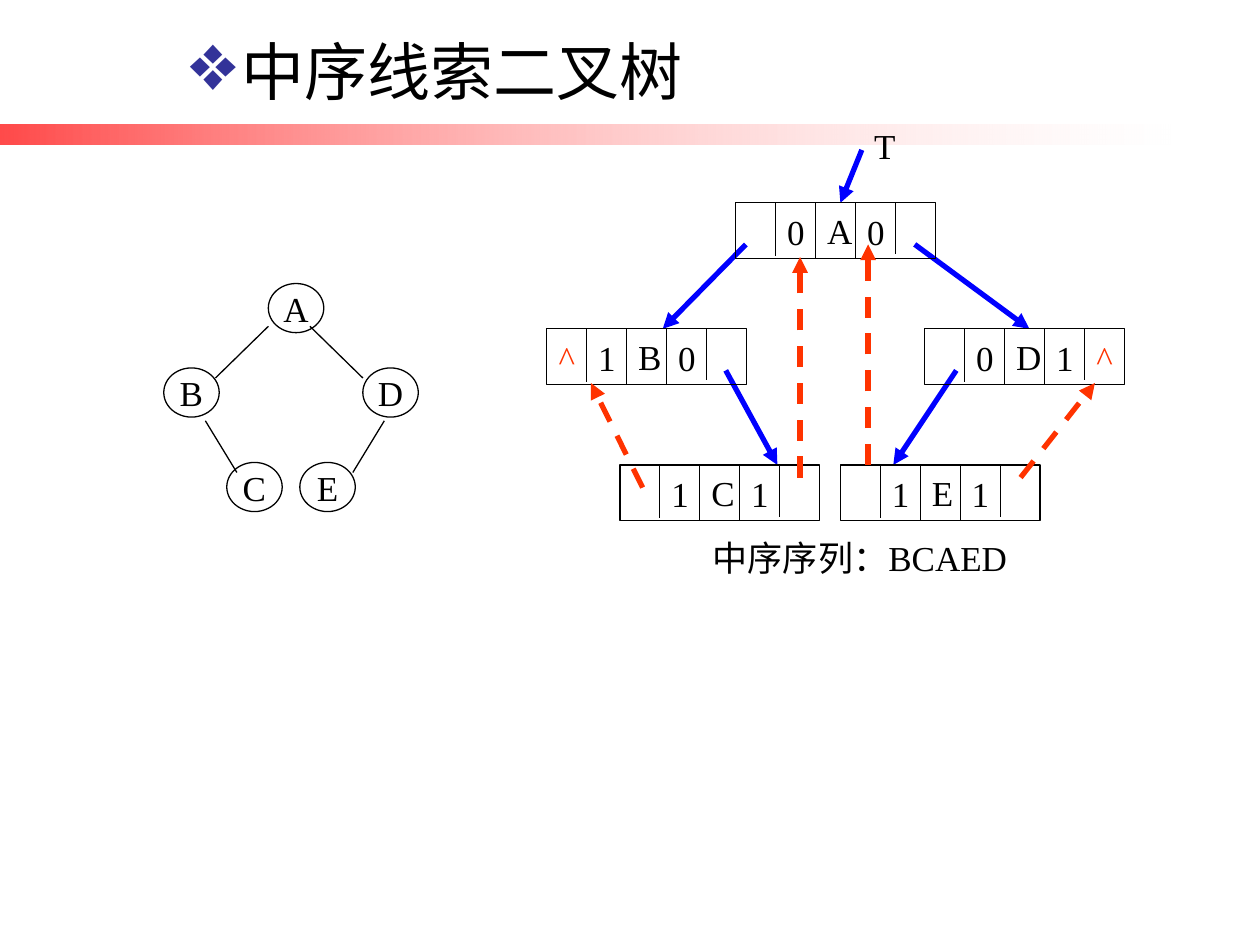
import pptx
import pptx.dml.color
import pptx.enum.dml
import pptx.enum.shapes
import pptx.enum.text
import pptx.oxml
import pptx.oxml.ns
import pptx.util

HUE = {"ink": "000000", "link": "0000FF", "thread": "FF3300",
       "mark": "333399", "bar": "FF0000", "fade": "FFFFFF"}
SHAPE = pptx.enum.shapes.MSO_SHAPE
ALIGN = pptx.enum.text.PP_ALIGN
ANCHOR = pptx.enum.text.MSO_ANCHOR
NS = pptx.oxml.ns.nsdecls("a")

deck = pptx.Presentation()
deck.slide_width = pptx.util.Inches(10)
deck.slide_height = pptx.util.Inches(7.5)
unit = deck.slide_width / 100  # square grid: 100 columns by 75 rows
slide = deck.slides.add_slide(deck.slide_layouts[5])
shapes = slide.shapes


def label(box, text, hue="ink", size=20, align=ALIGN.CENTER, **style):
    """Put one formatted paragraph in a box; style overrides the frame values."""
    frame = box.text_frame
    form = {"word_wrap": False, "auto_size": pptx.enum.text.MSO_AUTO_SIZE.NONE,
            "vertical_anchor": ANCHOR.MIDDLE,
            "margin_left": unit, "margin_right": unit,
            "margin_top": unit / 2, "margin_bottom": unit / 2}
    for key, value in {**form, **style}.items():
        setattr(frame, key, int(value) if "margin" in key else value)
    para = frame.paragraphs[0]
    para.alignment = align
    run = para.add_run()
    run.text = text
    for key, value in {"name": "Times New Roman", "size": pptx.util.Pt(size)}.items():
        setattr(run.font, key, value)
    run.font.color.rgb = pptx.dml.color.RGBColor.from_string(HUE[hue])


def draw(ends, hue="ink", width=0.75, head=False, dash=None):
    """Draw a straight line between grid points x1, y1, x2, y2."""
    edge = shapes.add_connector(pptx.enum.shapes.MSO_CONNECTOR.STRAIGHT,
                                *[int(n * unit) for n in ends])
    edge.line.color.rgb = pptx.dml.color.RGBColor.from_string(HUE[hue])
    edge.line.width = pptx.util.Pt(width)
    edge.line.dash_style = dash
    props = edge.element.spPr
    if head:
        props.find(pptx.oxml.ns.qn("a:ln")).append(
            pptx.oxml.parse_xml(f'<a:tailEnd {NS} type="triangle"/>'))
    props.append(pptx.oxml.parse_xml(f"<a:effectLst {NS}/>"))


# Title with its diamond bullet
title = shapes.title
for key, value in {"left": 13.7, "top": 2.1, "width": 44, "height": 7}.items():
    setattr(title, key, int(value * unit))
rule = title.text_frame.paragraphs[0]._p.get_or_add_pPr()
rule.set("marL", str(int(4.5 * unit)))
rule.set("indent", str(int(-4.1 * unit)))
for tag in (f'<a:buClr {NS}><a:srgbClr val="{HUE["mark"]}"/></a:buClr>',
            f'<a:buSzPct {NS} val="128000"/>',
            f'<a:buChar {NS} char="❖"/>'):
    rule.append(pptx.oxml.parse_xml(tag))
label(title, "中序线索二叉树", size=36, align=ALIGN.LEFT, vertical_anchor=ANCHOR.TOP)

# Fading bar under the title
bar = shapes.add_shape(SHAPE.RECTANGLE, 0, int(9.9 * unit),
                       int(92.9 * unit), int(1.6 * unit))
bar.shadow.inherit = False
bar.line.fill.background()
bar.fill.gradient()
bar.fill.gradient_angle = 180
for stop, place, hue, alpha in zip(bar.fill.gradient_stops, (0, 1),
                                   ("fade", "bar"), (18, 71)):
    stop.position = place
    stop.color.rgb = pptx.dml.color.RGBColor.from_string(HUE[hue])
    tint = bar.element.findall(".//" + pptx.oxml.ns.qn("a:srgbClr"))[-1 if place else 0]
    tint.append(pptx.oxml.parse_xml(f'<a:alpha {NS} val="{alpha * 1000}"/>'))

# Blue child links lie behind the nodes
for ends in ((59.2, 19.4, 52.6, 26.1), (72.6, 19.4, 81.7, 26.1),
             (57.6, 29.4, 61.7, 36.9), (75.9, 29.4, 70.9, 36.9),
             (68.4, 11.9, 66.7, 16.1)):
    draw(ends, "link", 3, head=True)

# Boxes: plain tree circles, then threaded nodes of five cells
cell, tall = 3.17, 4.4
rings = {"A": (21.3, 22.5), "B": (13, 29.2), "C": (18, 36.7),
         "D": (28.8, 29.2), "E": (23.8, 36.7)}
nodes = {"A": (58.4, 16.1, " 0 0 "), "B": (43.4, 26.1, "^1 0 "),
         "D": (73.4, 26.1, " 0 1^"), "C": (49.2, 36.9, " 1 1 "),
         "E": (66.7, 36.9, " 1 1 ")}
boxes = [(SHAPE.OVAL, name, x, y, 4.4, 3.9, {}) for name, (x, y) in rings.items()]
boxes += [(SHAPE.RECTANGLE, name, x, y, 5 * cell, tall,
           {"align": ALIGN.LEFT, "margin_left": 7.25 * unit})
          for name, (x, y, _) in nodes.items()]
for kind, name, x, y, wide, high, style in boxes:
    box = shapes.add_shape(kind, *[int(n * unit) for n in (x, y, wide, high)])
    box.shadow.inherit = False
    box.fill.background()
    box.line.color.rgb = pptx.dml.color.RGBColor.from_string(HUE["ink"])
    box.line.width = pptx.util.Pt(0.75)
    label(box, name, **style)

# Cell dividers and the tags and null marks inside the nodes
for x, y, marks in nodes.values():
    for i, drop in enumerate((4.2, 4.4, 4.4, 4.1), 1):
        draw((x + i * cell, y, x + i * cell, y + drop))
    for i, mark in enumerate(marks):
        if mark != " ":
            spot = shapes.add_textbox(*[int(n * unit) for n in
                                        (x + i * cell - 0.1, y + 0.1, 3.4, tall)])
            label(spot, mark, "thread" if mark == "^" else "ink")

# Plain tree edges
for ends in ((21.3, 25.9, 17.1, 30), (24.6, 25.9, 28.8, 30),
             (16.3, 33.4, 18.8, 37.5), (30.5, 33.4, 28, 37.5)):
    draw(ends)

# Dashed threads
for ends in ((51, 38.7, 46.9, 30.4), (63.5, 37.9, 63.5, 20.4),
             (68.9, 36.9, 68.9, 19.4), (81, 37.9, 86.9, 30.4)):
    draw(ends, "thread", 3, head=True, dash=pptx.enum.dml.MSO_LINE.DASH)

# Root pointer and traversal order
for text, x, y, wide in (("T", 68.4, 9.4, 3.7), ("中序序列：BCAED", 55.6, 42.1, 26)):
    note = shapes.add_textbox(*[int(n * unit) for n in (x, y, wide, tall)])
    label(note, text, align=ALIGN.LEFT, vertical_anchor=ANCHOR.TOP)

deck.save("out.pptx")
